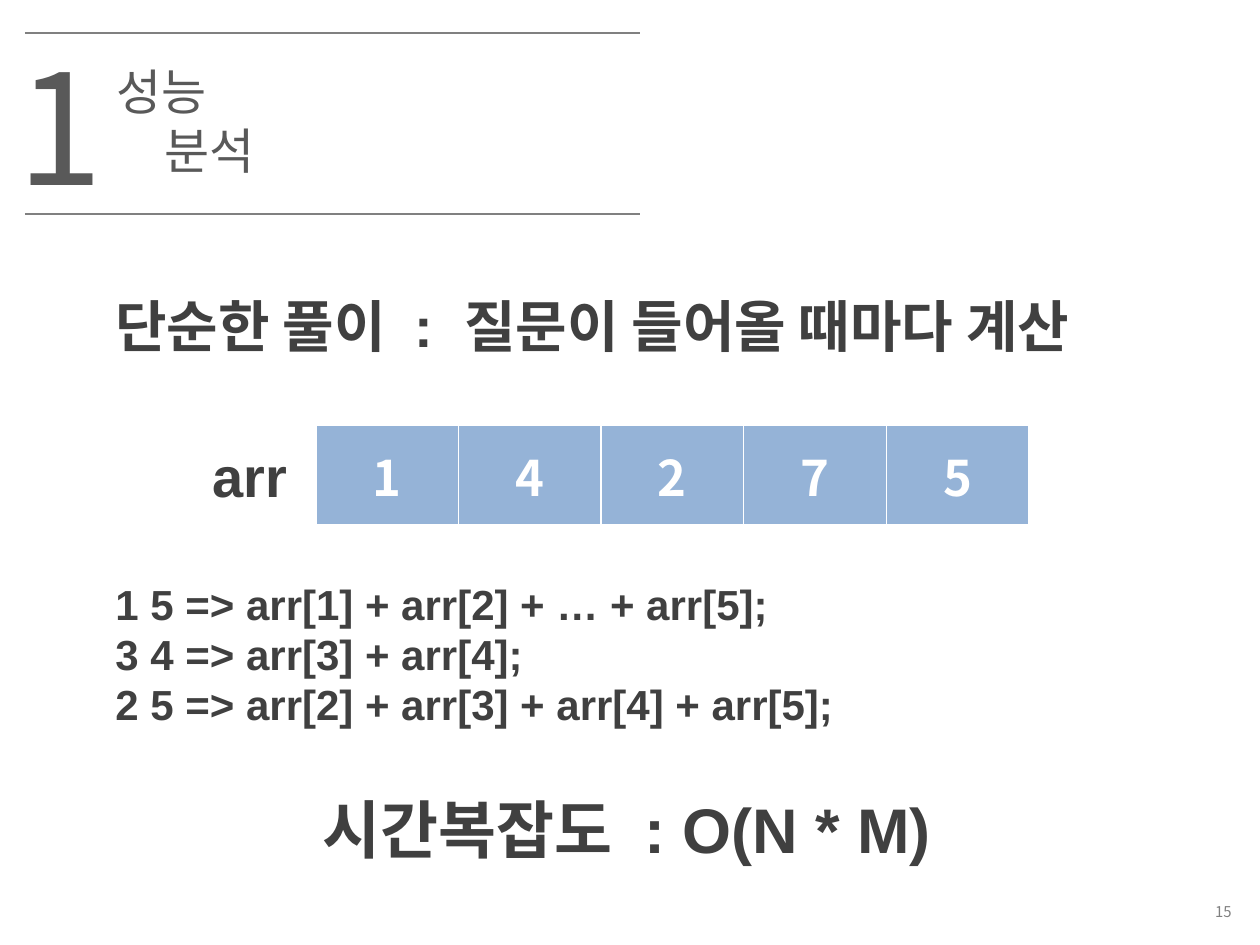
from lxml.etree import SubElement
from pptx import Presentation
from pptx.dml.color import RGBColor
from pptx.enum.shapes import MSO_CONNECTOR
from pptx.enum.text import MSO_ANCHOR, MSO_AUTO_SIZE, PP_ALIGN
from pptx.oxml import parse_xml
from pptx.oxml.ns import nsdecls, qn
from pptx.util import Pt

KOREAN, LATIN = "Noto Sans CJK KR", "Arial"
DARK, TITLE, GRAY, WHITE, BLUE = "404040", "595959", "808080", "FFFFFF", "95B3D7"

# Content: lengths in px, text sizes in points
HEADING = ("성능 분석", (104, 55, 206, 72), 28)
SECTION = ("1", (5, 25, 100, 199), 88)
RULES_Y = (33, 214)
RULE_X = (25, 640)
# A paragraph is a tuple of parts set apart by wide spaces
BODY = [
    ([("단순한 풀이", ":", "질문이 들어올 때마다 계산")], (103, 285, 1096, 81), 32),
    ([("arr",)], (200, 435, 129, 81), 32),
    ([("1 5 => arr[1] + arr[2] + … + arr[5];",),
      ("3 4 => arr[3] + arr[4];",),
      ("2 5 => arr[2] + arr[3] + arr[4] + arr[5];",)], (103, 572, 863, 165), 24),
    ([("시간복잡도", ": O(N * M)")], (310, 784, 684, 89), 36),
]
ARRAY = (1, 4, 2, 7, 5)
ARRAY_BOX = (316, 425, 713, 101)
BORDERS = (("L", 1), ("R", 1), ("T", 1), ("B", 3))
PAGE = ("15", (978, 895, 266, 34), 8.5)


def px(value):
    return round(value * 914400 / 126)


def color(hex_text):
    return RGBColor.from_string(hex_text)


def style(paragraph, size, name, hex_text, bold=False):
    font = paragraph.font
    font.size, font.name, font.bold = Pt(size), name, bold
    font.color.rgb = color(hex_text)


def hang(paragraph):
    properties = paragraph._p.get_or_add_pPr()
    properties.set("marL", str(px(48)))
    properties.set("indent", str(-px(48)))


def add_text(slide, box, anchor=MSO_ANCHOR.TOP):
    frame = slide.shapes.add_textbox(*map(px, box)).text_frame
    frame.word_wrap = True
    frame.vertical_anchor = anchor
    return frame


def add_parts(paragraph, parts, size):
    for index, part in enumerate(parts):
        if index:
            space = paragraph.add_run()
            space.text = " "
            space._r.get_or_add_rPr().set("spc", str(round(size * 28)))
        paragraph.add_run().text = part


def add_rule(slide, y):
    line = slide.shapes.add_connector(
        MSO_CONNECTOR.STRAIGHT, px(RULE_X[0]), px(y), px(RULE_X[1]), px(y))
    line.line.color.rgb = color(GRAY)
    line.line.width = Pt(0.75)
    SubElement(line._element.spPr, qn("a:effectLst"))


def add_borders(cell):
    properties = cell._tc.get_or_add_tcPr()
    for index, (side, width) in enumerate(BORDERS):
        properties.insert(index, parse_xml(
            f'<a:ln{side} {nsdecls("a")} w="{Pt(width)}"><a:solidFill>'
            f'<a:srgbClr val="{WHITE}"/></a:solidFill></a:ln{side}>'))


def add_array(slide):
    table = slide.shapes.add_table(1, len(ARRAY), *map(px, ARRAY_BOX)).table
    table.horz_banding = False
    for cell, value in zip(table.iter_cells(), ARRAY):
        cell.text = str(value)
        cell.vertical_anchor = MSO_ANCHOR.MIDDLE
        cell.fill.solid()
        cell.fill.fore_color.rgb = color(BLUE)
        add_borders(cell)
        paragraph = cell.text_frame.paragraphs[0]
        paragraph.alignment = PP_ALIGN.CENTER
        style(paragraph, 28, KOREAN, WHITE, True)


def main():
    presentation = Presentation()
    presentation.slide_width, presentation.slide_height = px(1260), px(945)
    slide = presentation.slides.add_slide(presentation.slide_layouts[5])

    # Heading with its section number, between two rules
    text, box, size = HEADING
    title = slide.shapes.title
    title.left, title.top, title.width, title.height = map(px, box)
    frame = title.text_frame
    frame.text = text
    frame.word_wrap = True
    frame.auto_size = MSO_AUTO_SIZE.NONE
    frame.vertical_anchor = MSO_ANCHOR.TOP
    heading = frame.paragraphs[0]
    heading.alignment = PP_ALIGN.LEFT
    hang(heading)
    style(heading, size, KOREAN, TITLE)

    text, box, size = SECTION
    number = add_text(slide, box).paragraphs[0]
    number.text = text
    hang(number)
    style(number, size, KOREAN, TITLE)
    for y in RULES_Y:
        add_rule(slide, y)

    # Array and explanation
    add_array(slide)
    for lines, box, size in BODY:
        frame = add_text(slide, box)
        for index, parts in enumerate(lines):
            paragraph = frame.add_paragraph() if index else frame.paragraphs[0]
            add_parts(paragraph, parts, size)
            style(paragraph, size, LATIN, DARK, True)

    # Page number
    text, box, size = PAGE
    page = add_text(slide, box, MSO_ANCHOR.MIDDLE).paragraphs[0]
    page.text = text
    page.alignment = PP_ALIGN.RIGHT
    style(page, size, KOREAN, GRAY)

    presentation.save("out.pptx")


if __name__ == "__main__":
    main()
